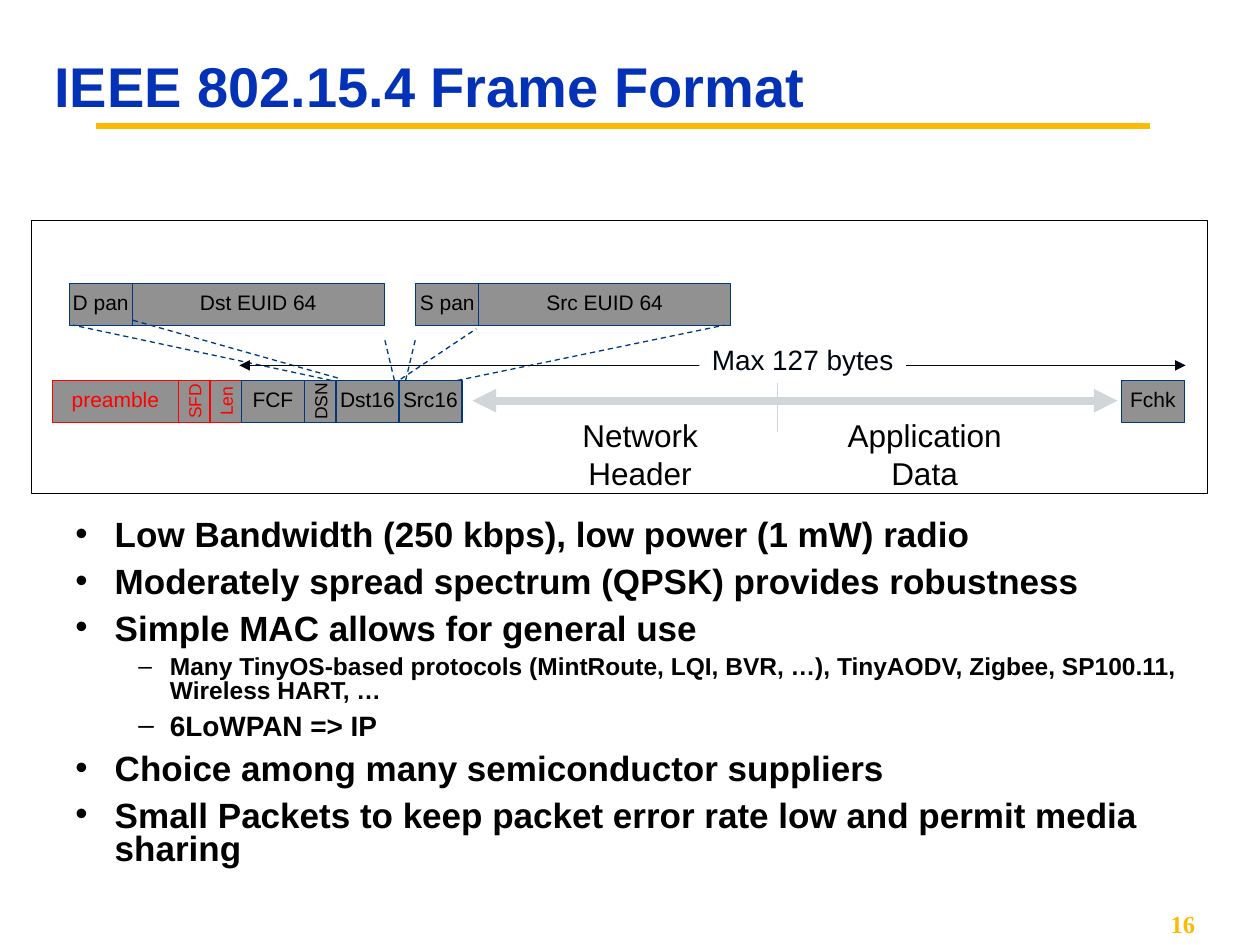
from lxml.etree import SubElement as Sub
from pptx import Presentation
from pptx.dml.color import RGBColor
from pptx.enum.dml import MSO_LINE as Dash
from pptx.enum.shapes import MSO_CONNECTOR as Conn, MSO_SHAPE as Kind
from pptx.enum.text import MSO_ANCHOR as Anchor, PP_ALIGN as Align
from pptx.oxml.ns import qn
from pptx.util import Pt

BLACK, RED, NAVY, GOLD = "000000", "FF0000", "00387D", "FBBA03"
GREY, PALE, INK, BLUE = "919191", "D1D6D9", "000710", "0332B7"
HIGH = 24
MAIN = [("preamble", 72, RED), ("SFD", 18, RED), ("Len", 18, RED),
        ("FCF", 36, NAVY), ("DSN", 18, NAVY), ("Dst16", 36, NAVY),
        ("Src16", 36, NAVY)]
DEST = [("D pan", 36, NAVY), ("Dst EUID 64", 144, NAVY)]
SOURCE = [("S pan", 36, NAVY), ("Src EUID 64", 144, NAVY)]
CHECK = [("Fchk", 36, NAVY)]
RAYS = [(207.4, 91.4, 201.6, 67), (171.4, 91.4, 23.8, 59.8),
        (213.8, 91.4, 219.6, 67), (243.4, 91.4, 396, 59.8),
        (175, 90, 57.6, 56.9), (211, 90.7, 254.2, 61.9)]
POINTS = [
    (0, 20, 7.5, "Low Bandwidth (250 kbps), low power (1 mW) radio"),
    (0, 20, 7.5, "Moderately spread spectrum (QPSK) provides robustness"),
    (0, 20, 7.5, "Simple MAC allows for general use"),
    (1, 14, 5.2, "Many TinyOS-based protocols (MintRoute, LQI, BVR, …), "
                 "TinyAODV, Zigbee, SP100.11, Wireless HART, …"),
    (1, 16, 6, "6LoWPAN => IP"),
    (0, 20, 7.5, "Choice among many semiconductor suppliers"),
    (0, 20, 7.5, "Small Packets to keep packet error rate low and permit "
                 "media sharing"),
]


def tint(code):
    """Turn a hex string into a colour."""
    return RGBColor.from_string(code)


def assign(item, **style):
    """Set each named attribute of an item."""
    for name, value in style.items():
        setattr(item, name, value)


def write(para, text, size, hue, bold=False, face="Arial"):
    """Add one styled run to a paragraph."""
    run = para.add_run()
    run.text = text
    assign(run.font, size=Pt(size), name=face, bold=bold)
    run.font.color.rgb = tint(hue)


def rect(slide, x, y, wide, high, fill=None, edge=None):
    """Draw a flat rectangle."""
    box = slide.shapes.add_shape(Kind.RECTANGLE, Pt(x), Pt(y), Pt(wide), Pt(high))
    box.shadow.inherit = False
    if fill:
        box.fill.solid()
        box.fill.fore_color.rgb = tint(fill)
    else:
        box.fill.background()
    if edge:
        box.line.color.rgb = tint(edge)
        box.line.width = Pt(0.75)
    else:
        box.line.fill.background()
    return box


def line(slide, x1, y1, x2, y2, hue, width=0.75, dash=None, heads=False):
    """Draw a straight line, dashed or with arrowheads if asked."""
    link = slide.shapes.add_connector(Conn.STRAIGHT, Pt(x1), Pt(y1), Pt(x2), Pt(y2))
    link.line.color.rgb = tint(hue)
    assign(link.line, width=Pt(width), dash_style=dash)
    if heads:
        for end in ("a:headEnd", "a:tailEnd"):
            Sub(link.line._get_or_add_ln(), qn(end), type="triangle")
    Sub(link._element.spPr, qn("a:effectLst"))


def label(slide, x, y, wide, high, text, size, hue, align=Align.CENTER,
          anchor=Anchor.TOP, **look):
    """Place one line of text in a box."""
    box = slide.shapes.add_textbox(Pt(x), Pt(y), Pt(wide), Pt(high))
    assign(box.text_frame, word_wrap=True, vertical_anchor=anchor)
    para = box.text_frame.paragraphs[0]
    para.alignment = align
    write(para, text, size, hue, **look)


def fields(slide, x, y, cells):
    """Lay frame fields side by side; narrow ones read upward."""
    for name, wide, hue in cells:
        box = rect(slide, x, y, wide, HIGH, GREY, hue)
        frame = box.text_frame
        thin = wide < HIGH
        assign(frame, margin_left=0, margin_right=0, margin_bottom=0,
               margin_top=0 if thin else Pt(3.6), word_wrap=True,
               vertical_anchor=Anchor.MIDDLE if thin else Anchor.TOP)
        if thin:
            frame._txBody.bodyPr.set("vert", "vert270")
        para = frame.paragraphs[0]
        para.alignment = Align.CENTER
        write(para, name, 10 if thin else 12, RED if hue == RED else BLACK)
        x += wide


def packet(slide, x, y, wide, high):
    """Draw the framed packet diagram."""
    rect(slide, x, y, wide, high, edge=BLACK)
    row = y + 91.4
    fields(slide, x + 12, row, MAIN)
    fields(slide, x + 21.6, y + 36, DEST)
    fields(slide, x + 219.6, y + 36, SOURCE)
    fields(slide, x + 622.8, row, CHECK)
    for x1, y1, x2, y2 in RAYS:
        line(slide, x + x1, y + y1, x + x2, y + y2, NAVY, dash=Dash.DASH)
    line(slide, x + 252, y + 103, x + 620.6, y + 103, PALE, 4.5, heads=True)
    line(slide, x + 426.2, y + 121, x + 426.2, row, PALE)
    label(slide, x + 275.8, y + 108, 144, 29, "Network Header", 18, BLACK)
    label(slide, x + 437.8, y + 108, 145, 29, "Application Data", 18, BLACK)
    line(slide, x + 118.8, y + 82.8, x + 659.5, y + 82.8, INK, heads=True)
    rect(slide, x + 381.6, y + 66.2, 118, 26.6, "FFFFFF")
    label(slide, x + 381.6, y + 66.2, 118, 26.6, "Max 127 bytes", 16, INK)


def body(slide, x, y, wide, high):
    """Write the bulleted points on two levels."""
    box = slide.shapes.add_textbox(Pt(x), Pt(y), Pt(wide), Pt(high))
    frame = box.text_frame
    frame.word_wrap = True
    for i, (level, size, gap, text) in enumerate(POINTS):
        para = frame.add_paragraph() if i else frame.paragraphs[0]
        left, hang, mark = ((22.5, 22.5, "•"), (54, 18, "–"))[level]
        prop = para._p.get_or_add_pPr()
        prop.set("marL", str(Pt(left)))
        prop.set("indent", str(-Pt(hang)))
        Sub(Sub(prop, qn("a:buClr")), qn("a:srgbClr"), val=BLACK)
        Sub(prop, qn("a:buFont"), typeface="Arial")
        Sub(prop, qn("a:buChar"), char=mark)
        assign(para, level=level, line_spacing=0.8,
               space_before=Pt(gap if i else 0))
        write(para, text, size, BLACK, bold=True)


def head(slide, x, y, wide, high):
    """Write the title above its gold rule."""
    line(slide, x + 30.7, y + 64, x + 633.4, y + 64, GOLD, 3.75)
    label(slide, x, y, wide, high, "IEEE 802.15.4 Frame Format", 32, BLUE,
          Align.LEFT, Anchor.MIDDLE, bold=True)


def main():
    """Build and save the slide."""
    deck = Presentation()
    assign(deck, slide_width=Pt(720), slide_height=Pt(540))
    slide = deck.slides.add_slide(deck.slide_layouts[6])
    head(slide, 24, 8, 507, 81)
    packet(slide, 18, 126, 672, 156)
    body(slide, 36, 294, 653, 220)
    label(slide, 588, 516, 102, 24, "16", 14, GOLD, Align.RIGHT,
          Anchor.MIDDLE, bold=True, face="Times New Roman")
    deck.save("out.pptx")


if __name__ == "__main__":
    main()
